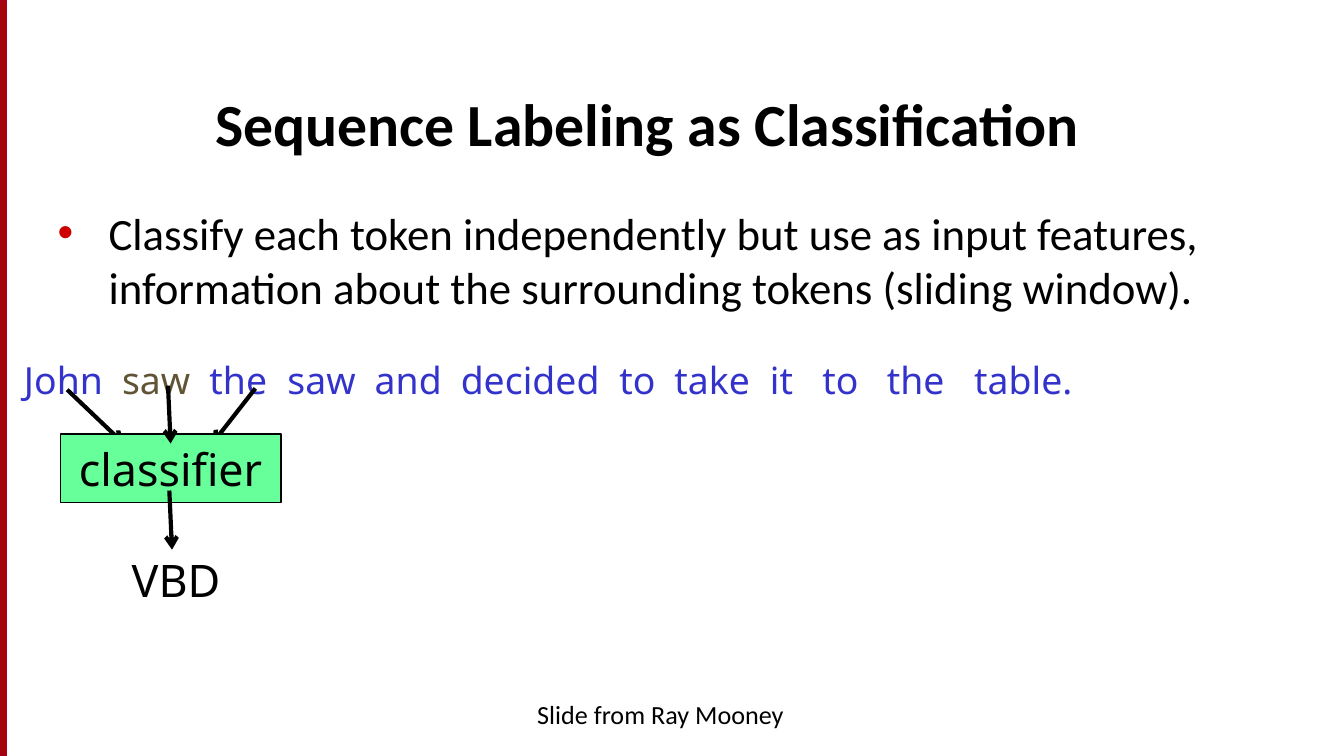
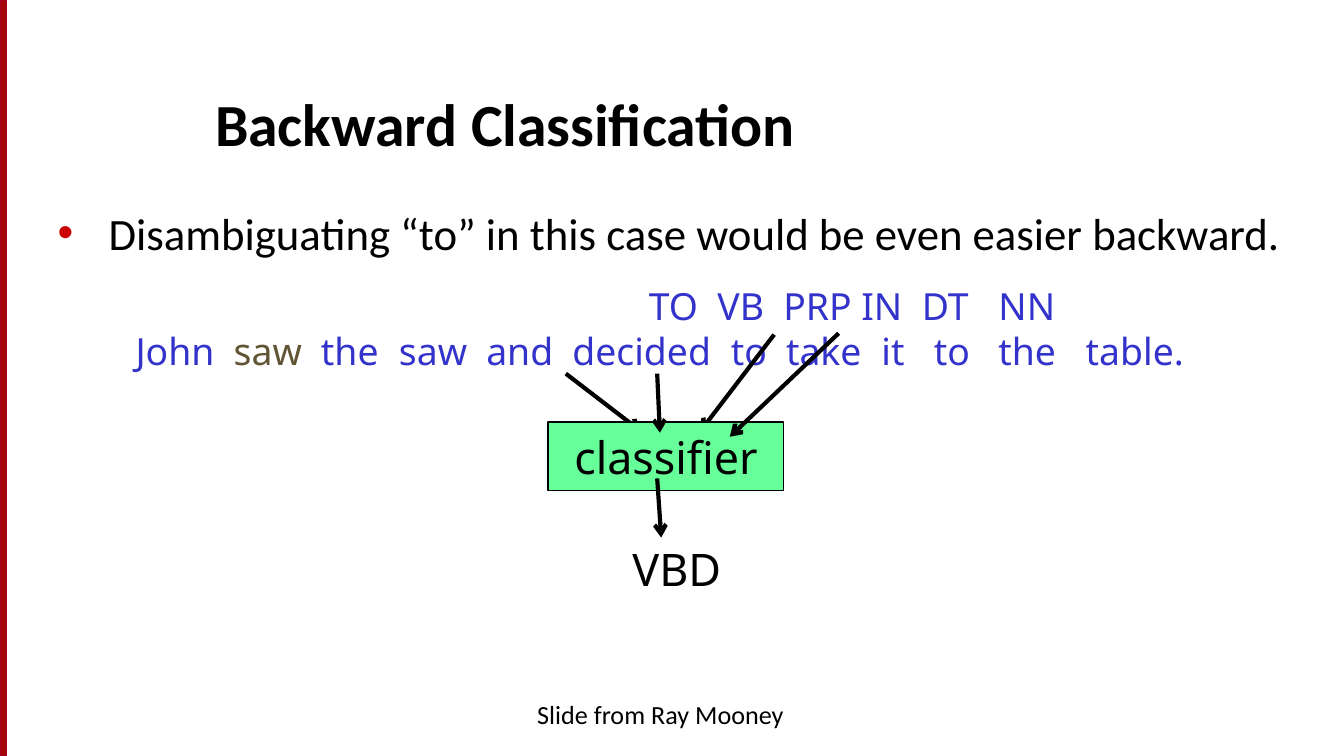
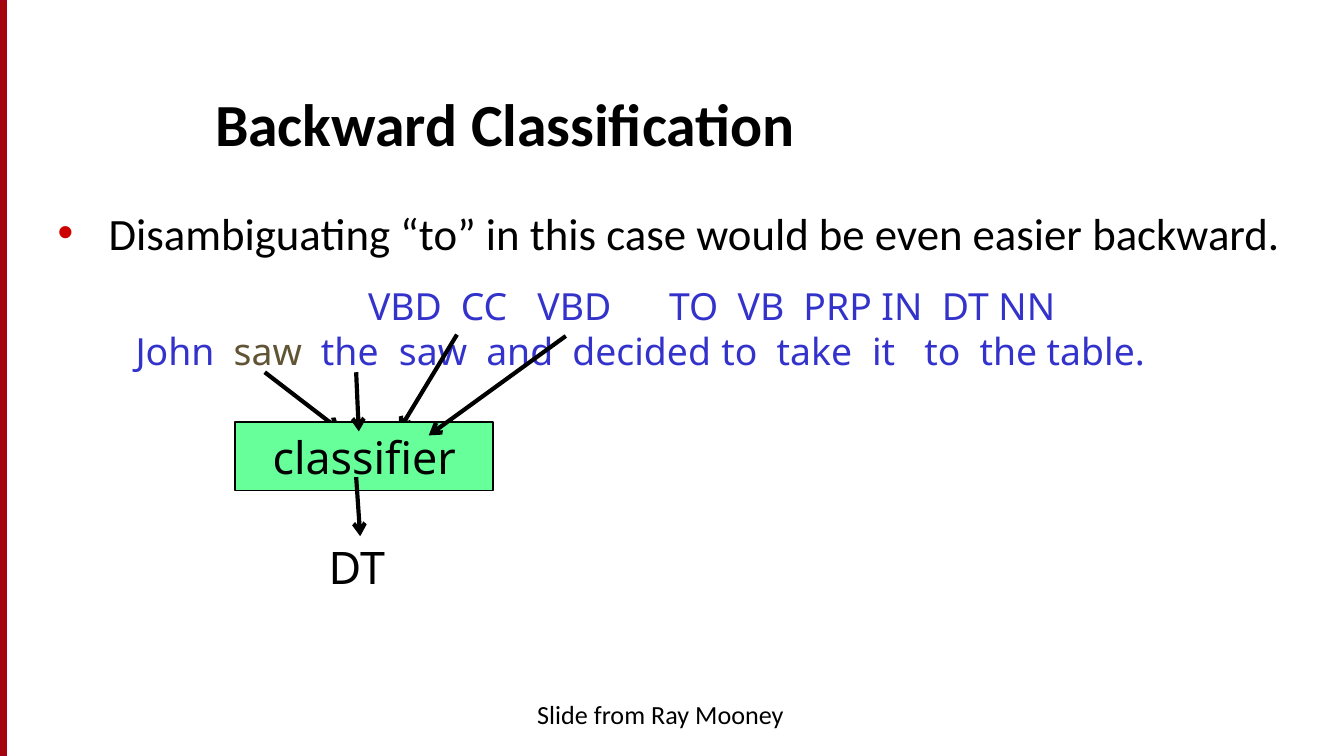
import pptx
import pptx.dml.color
import pptx.enum.shapes
import pptx.enum.text
import pptx.oxml.ns
import pptx.util
from lxml import etree

Inches = pptx.util.Inches
Pt = pptx.util.Pt
RGBColor = pptx.dml.color.RGBColor
PP_ALIGN = pptx.enum.text.PP_ALIGN
qn = pptx.oxml.ns.qn

SLIDE_WIDTH = 10
SLIDE_HEIGHT = SLIDE_WIDTH * 9 / 16

BLACK = RGBColor(0x00, 0x00, 0x00)
BAND_RED = RGBColor(0xA4, 0x05, 0x08)
BAND_EDGE = RGBColor(0xA4, 0x00, 0x1D)
BULLET_RED = "CC0000"
TOKEN_BLUE = RGBColor(0x33, 0x33, 0xCC)
TOKEN_BROWN = RGBColor(0x60, 0x54, 0x35)
CLASSIFIER_GREEN = RGBColor(0x66, 0xFF, 0x99)

PROSE_FONT, DIAGRAM_FONT = "Calibri", "Noto Sans"
HIGHLIGHTED_TOKEN = 1
CREDIT = "Slide from Ray Mooney"
BACKWARD = "Backward Classification"
EASIER = "Disambiguating “to” in this case would be even easier backward."

# Each word of a row with its distance in inches from the row's left edge
OPENING = [("John", 0), ("saw", 0.73), ("the", 1.38), ("saw", 1.96),
           ("and", 2.61), ("decided", 3.25)]
SENTENCE = OPENING + [("to", 4.43), ("take", 4.84), ("it", 5.55), ("to", 5.94),
                      ("the", 6.42), ("table.", 7.07)]
TIGHT_SENTENCE = OPENING + [("to", 4.36), ("take", 4.77), ("it", 5.48),
                            ("to", 5.87), ("the", 6.28), ("table.", 6.78)]

# Boxes are (left, top, width, height); arrows are (x1, y1, x2, y2)
SLIDES = [
    dict(title="Sequence Labeling as Classification",
         point="Classify each token independently but use as input features, "
               "information about the surrounding tokens (sliding window).",
         tags=[], sentence=SENTENCE, rows_box=(0.08, 2.61, 8.61, 0.44),
         arrows_behind=[(0.5, 2.9, 0.92, 3.3), (1.9, 2.89, 1.58, 3.3)],
         classifier_box=(0.45, 3.23, 1.64, 0.51),
         arrows_in_front=[(1.25, 2.87, 1.27, 3.3), (1.26, 3.65, 1.28, 4.09)],
         label="VBD", label_box=(0.88, 4.06, 0.86, 0.51)),
    dict(title=BACKWARD, point=EASIER,
         tags=[("TO", 3.82), ("VB", 4.33), ("PRP", 4.82), ("IN", 5.4),
               ("DT", 5.85), ("NN", 6.42)],
         sentence=SENTENCE, rows_box=(0.91, 2.06, 8.61, 0.78),
         arrows_behind=[(4.21, 2.78, 4.77, 3.21), (5.76, 2.49, 5.21, 3.21)],
         classifier_box=(4.08, 3.14, 1.75, 0.51),
         arrows_in_front=[(4.89, 2.78, 4.91, 3.22), (4.89, 3.56, 4.92, 4),
                          (6.24, 2.48, 5.43, 3.25)],
         label="VBD", label_box=(4.51, 3.98, 1.05, 0.51)),
    dict(title=BACKWARD, point=EASIER,
         tags=[("VBD", 1.73), ("CC", 2.42), ("VBD", 2.99), ("TO", 3.97),
               ("VB", 4.48), ("PRP", 4.97), ("IN", 5.55), ("DT", 6),
               ("NN", 6.42)],
         sentence=TIGHT_SENTENCE, rows_box=(0.91, 2.06, 8.25, 0.78),
         arrows_behind=[(1.97, 2.77, 2.53, 3.2), (3.4, 2.49, 2.97, 3.2)],
         classifier_box=(1.75, 3.14, 1.92, 0.51),
         arrows_in_front=[(2.65, 2.77, 2.67, 3.21), (2.65, 3.55, 2.68, 3.99),
                          (4.21, 2.5, 3.19, 3.24)],
         label="DT", label_box=(2.27, 3.97, 0.77, 0.51)),
]


def inches(lengths):
    return [Inches(length) for length in lengths]


def add_run(paragraph, text, size, font=PROSE_FONT, color=BLACK, bold=False):
    run = paragraph.add_run()
    run.text = text
    run.font.size = Pt(size)
    run.font.name = font
    run.font.bold = bold
    run.font.color.rgb = color


def add_text_frame(slide, box, wrap=True):
    frame = slide.shapes.add_textbox(*inches(box)).text_frame
    frame.word_wrap = wrap
    return frame


def add_box(slide, box, fill, edge, weight):
    rectangle = slide.shapes.add_shape(
        pptx.enum.shapes.MSO_SHAPE.RECTANGLE, *inches(box))
    rectangle.shadow.inherit = False
    rectangle.fill.solid()
    rectangle.fill.fore_color.rgb = fill
    rectangle.line.color.rgb = edge
    rectangle.line.width = Pt(weight)
    return rectangle


def add_arrow(slide, ends):
    arrow = slide.shapes.add_connector(
        pptx.enum.shapes.MSO_CONNECTOR.STRAIGHT, *inches(ends))
    arrow.line.color.rgb = BLACK
    arrow.line.width = Pt(2.25)
    line = arrow._element.spPr.find(qn("a:ln"))
    etree.SubElement(line, qn("a:tailEnd"), type="arrow")
    etree.SubElement(arrow._element.spPr, qn("a:effectLst"))


def add_frame(slide, title, point):
    """Red band, title, bulleted point and credit line."""
    add_box(slide, (0, 0, 0.05, SLIDE_HEIGHT), BAND_RED, BAND_EDGE, 0.75)

    heading = slide.shapes.title
    heading.left, heading.top, heading.width, heading.height = inches(
        (1.5, 0.42, 8.17, 0.81))
    heading.text_frame.vertical_anchor = pptx.enum.text.MSO_ANCHOR.BOTTOM
    paragraph = heading.text_frame.paragraphs[0]
    paragraph.alignment = PP_ALIGN.LEFT
    add_run(paragraph, title, 32, bold=True)

    paragraph = add_text_frame(slide, (0.33, 1.48, 9.33, 3.65)).paragraphs[0]
    properties = paragraph._p.get_or_add_pPr()
    properties.set("marL", str(Inches(0.38)))
    properties.set("indent", str(Inches(-0.38)))
    bullet_color = etree.SubElement(properties, qn("a:buClr"))
    etree.SubElement(bullet_color, qn("a:srgbClr"), val=BULLET_RED)
    etree.SubElement(properties, qn("a:buFont"), typeface="Arial")
    etree.SubElement(properties, qn("a:buChar"), char="•")
    add_run(paragraph, point, 24)

    paragraph = add_text_frame(slide, (3.33, 5.15, 3.17, 0.38)).paragraphs[0]
    paragraph.alignment = PP_ALIGN.CENTER
    add_run(paragraph, CREDIT, 14)


def add_word_row(paragraph, words, highlighted=None):
    """Set words at tab stops, so that each starts at its own distance."""
    stops = etree.SubElement(paragraph._p.get_or_add_pPr(), qn("a:tabLst"))
    for index, (word, distance) in enumerate(words):
        if distance:
            etree.SubElement(stops, qn("a:tab"), pos=str(Inches(distance)), algn="l")
            word = "\t" + word
        color = TOKEN_BROWN if index == highlighted else TOKEN_BLUE
        add_run(paragraph, word, 20, DIAGRAM_FONT, color)


def add_diagram(slide, content):
    # Tags above the sentence
    rows = add_text_frame(slide, content["rows_box"])
    sentence_row = rows.paragraphs[0]
    if content["tags"]:
        add_word_row(sentence_row, content["tags"])
        sentence_row = rows.add_paragraph()
    add_word_row(sentence_row, content["sentence"], HIGHLIGHTED_TOKEN)

    # Classifier between its inputs and its output
    for ends in content["arrows_behind"]:
        add_arrow(slide, ends)
    classifier = add_box(slide, content["classifier_box"], CLASSIFIER_GREEN, BLACK, 1)
    classifier.text_frame.word_wrap = False
    classifier.text_frame.vertical_anchor = pptx.enum.text.MSO_ANCHOR.MIDDLE
    for ends in content["arrows_in_front"]:
        add_arrow(slide, ends)
    label = add_text_frame(slide, content["label_box"], wrap=False)
    for frame, text in ((classifier.text_frame, "classifier"),
                        (label, content["label"])):
        frame.paragraphs[0].alignment = PP_ALIGN.CENTER
        add_run(frame.paragraphs[0], text, 24, DIAGRAM_FONT)


def main():
    deck = pptx.Presentation()
    deck.slide_width, deck.slide_height = inches((SLIDE_WIDTH, SLIDE_HEIGHT))
    title_only = deck.slide_layouts[5]
    for content in SLIDES:
        slide = deck.slides.add_slide(title_only)
        add_frame(slide, content["title"], content["point"])
        add_diagram(slide, content)
    deck.save("out.pptx")


if __name__ == "__main__":
    main()
